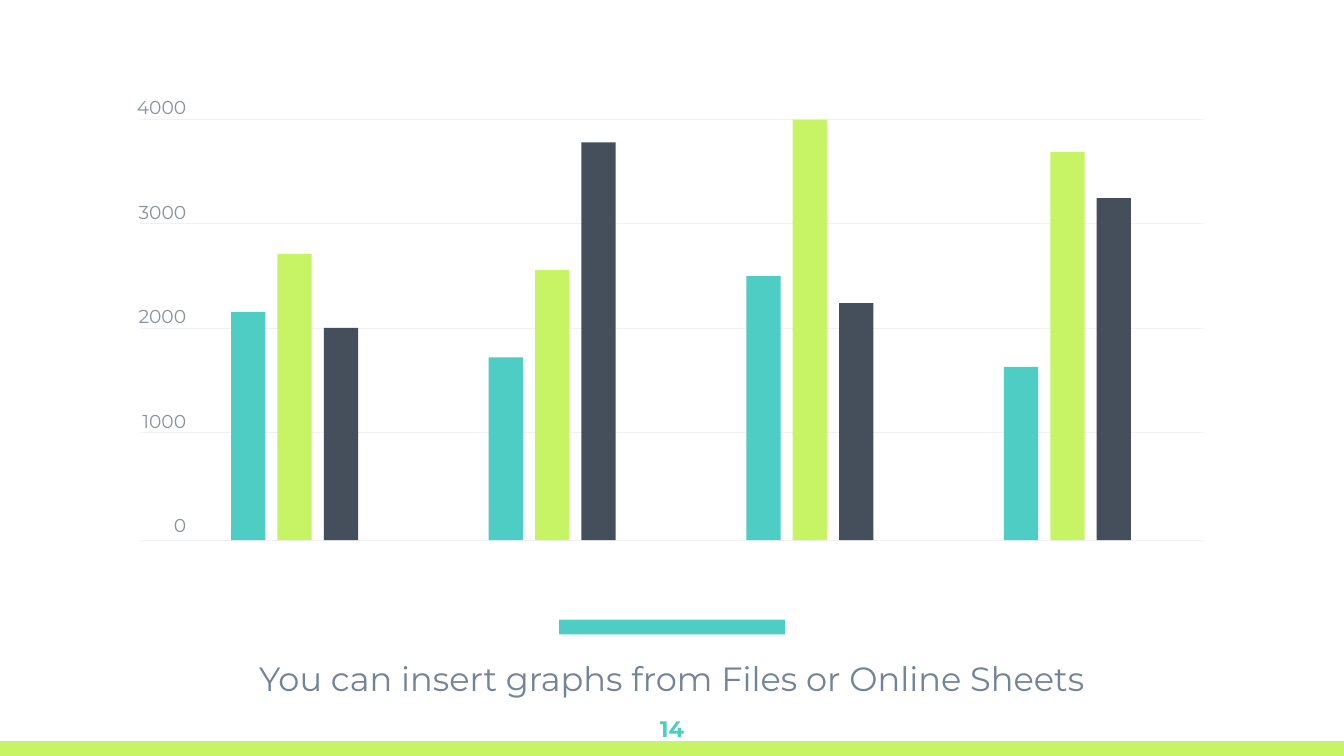
from pptx import Presentation
from pptx.dml.color import RGBColor
from pptx.enum.shapes import MSO_CONNECTOR, MSO_SHAPE
from pptx.enum.text import MSO_ANCHOR, PP_ALIGN
from pptx.oxml.ns import qn
from pptx.util import Pt
from lxml import etree

RECTANGLE = MSO_SHAPE.RECTANGLE
STRAIGHT = MSO_CONNECTOR.STRAIGHT
TOP, MIDDLE = MSO_ANCHOR.TOP, MSO_ANCHOR.MIDDLE
CENTER, RIGHT = PP_ALIGN.CENTER, PP_ALIGN.RIGHT

PX = 4572  # 200 px to the inch
WIDTH, HEIGHT = 2000, 1125
FONT = "Montserrat"

TEAL = RGBColor(0x4E, 0xCD, 0xC4)
LIME = RGBColor(0xC7, 0xF4, 0x64)
SLATE = RGBColor(0x45, 0x4F, 0x5B)
CAPTION_GRAY = RGBColor(0x73, 0x84, 0x98)
LABEL_GRAY = RGBColor(0x89, 0x92, 0x9B)
GRID_GRAY = RGBColor(0xEF, 0xF1, 0xF3)

SERIES_COLORS = (TEAL, LIME, SLATE)
BAR_HEIGHTS = ((340, 426, 316), (272, 402, 592), (393, 626, 353), (258, 578, 509))
AXIS_LABELS = ("4000", "3000", "2000", "1000", "0")
GRIDLINE_OFFSETS = (0, 155, 311, 466, 626)


def px(*lengths):
    return [round(length * PX) for length in lengths]


def add_bar(slide, left, top, width, height, color):
    shape = slide.shapes.add_shape(RECTANGLE, *px(left, top, width, height))
    shape.shadow.inherit = False
    shape.fill.solid()
    shape.fill.fore_color.rgb = color
    shape.line.fill.background()


def add_gridline(slide, left, top, width):
    line = slide.shapes.add_connector(STRAIGHT, *px(left, top, left + width, top))
    line.line.color.rgb = GRID_GRAY
    line.line.width = Pt(0.75)
    etree.SubElement(line._element.spPr, qn("a:effectLst"))


def add_text(slide, box, lines, size, color, align=CENTER, anchor=TOP, inset=20, bold=False):
    """Add a text box with one paragraph per line and return its paragraphs."""
    frame = slide.shapes.add_textbox(*px(*box)).text_frame
    frame.word_wrap = True
    frame.vertical_anchor = anchor
    frame.margin_left = frame.margin_top = inset * PX
    frame.margin_right = frame.margin_bottom = inset * PX
    frame.text = "\n".join(lines)
    for paragraph in frame.paragraphs:
        paragraph.alignment = align
        paragraph.font.name = FONT
        paragraph.font.size = Pt(size)
        paragraph.font.bold = bold
        paragraph.font.color.rgb = color
    return frame.paragraphs


def add_bar_chart(slide, left, top, width, height):
    """Draw gridlines, axis labels and grouped bars standing on the box's bottom."""
    for offset in GRIDLINE_OFFSETS:
        add_gridline(slide, left, top + offset, width)

    label_box = (left - 17, top - 35, 86, height + 36)
    labels = add_text(slide, label_box, AXIS_LABELS, 10, LABEL_GRAY, RIGHT, inset=0)
    for paragraph in labels[1:]:
        paragraph.space_before = Pt(44)
    labels[-1].space_after = Pt(44)

    first_bar, last_group_offset, bar_span, bar_width = 136, 1150, 138, 51
    group_step = last_group_offset / (len(BAR_HEIGHTS) - 1)
    bar_step = bar_span / (len(SERIES_COLORS) - 1)
    for group, heights in enumerate(BAR_HEIGHTS):
        for series, (bar_height, color) in enumerate(zip(heights, SERIES_COLORS)):
            bar_left = left + first_bar + group * group_step + series * bar_step
            add_bar(slide, bar_left, top + height - bar_height, bar_width, bar_height, color)


def add_footer(slide, left, top, width, height):
    """Place the accent bar, caption, page number and bottom band."""
    accent_width, band_height, number_width = 336, 22, 120
    center = left + width / 2
    add_bar(slide, center - accent_width / 2, top, accent_width, band_height, TEAL)
    add_bar(slide, left, top + height - band_height, width, band_height, LIME)
    caption = add_text(slide, (left + 100, top + 10, width - 200, 154),
                       ["You can insert graphs from Files or Online Sheets"],
                       18, CAPTION_GRAY, anchor=MIDDLE)
    caption[0].space_before = Pt(3.6)
    add_text(slide, (center - number_width / 2, top + 122, number_width, 68),
             ["14"], 12, TEAL, bold=True)


def main():
    presentation = Presentation()
    presentation.slide_width, presentation.slide_height = px(WIDTH, HEIGHT)
    slide = presentation.slides.add_slide(presentation.slide_layouts[6])
    add_footer(slide, 0, 922, WIDTH, HEIGHT - 922)
    add_bar_chart(slide, 208, 178, 1584, 626)
    presentation.save("out.pptx")


if __name__ == "__main__":
    main()
